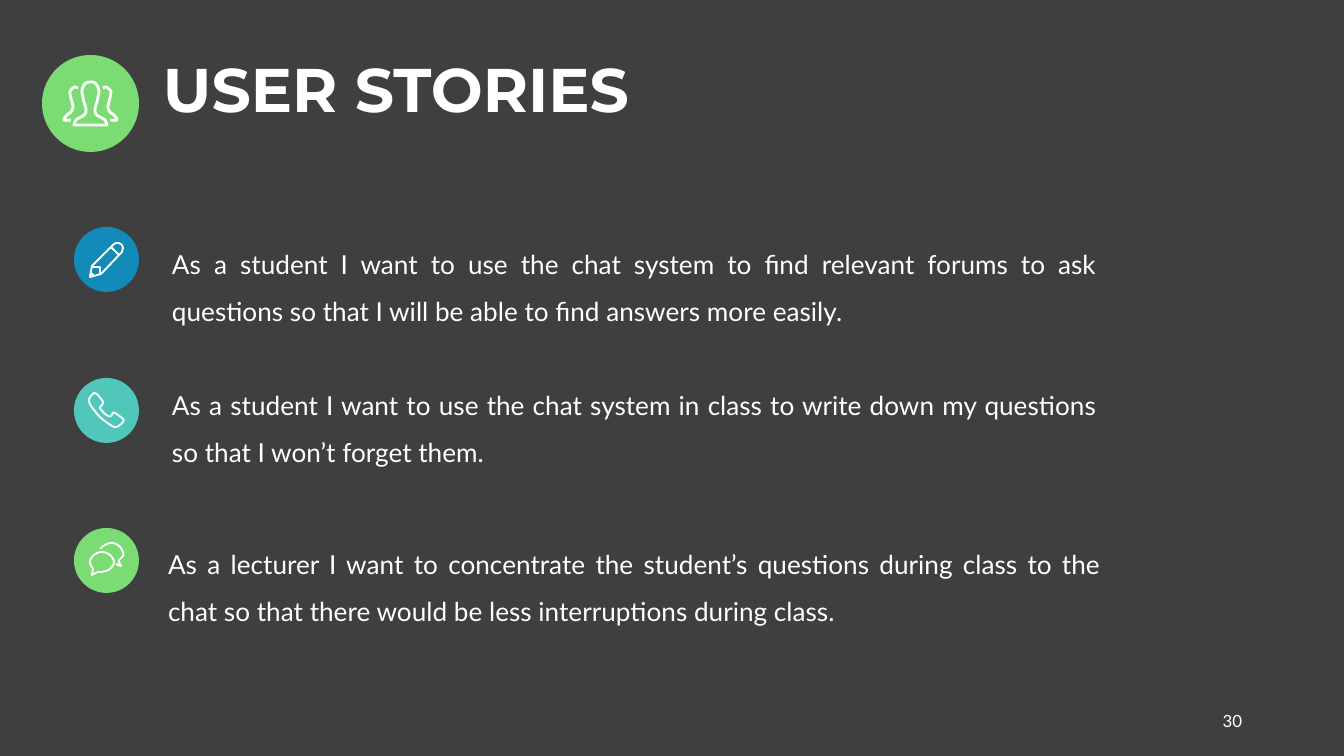
"""Build the user stories slide with its icon badges and three stories."""
from dataclasses import dataclass

from pptx import Presentation
from pptx.dml.color import RGBColor
from pptx.enum.shapes import MSO_SHAPE
from pptx.enum.text import MSO_ANCHOR, PP_ALIGN
from pptx.util import Pt

OVAL = MSO_SHAPE.OVAL
TOP, MIDDLE = MSO_ANCHOR.TOP, MSO_ANCHOR.MIDDLE
LEFT, RIGHT, JUSTIFY = PP_ALIGN.LEFT, PP_ALIGN.RIGHT, PP_ALIGN.JUSTIFY
EMU_PER_PX = 914400 / 134.4
CURVE_STEPS = 6

Point = tuple[float, float]
Box = tuple[int, int, int, int]


@dataclass(frozen=True)
class Theme:
    background: str = "3F3F3F"
    white: str = "FFFFFF"
    green: str = "7ADC72"
    blue: str = "138BB9"
    teal: str = "51C7BB"
    title_font: str = "Montserrat"
    body_font: str = "Lato"
    title_size: int = 33
    body_size: int = 14
    page_size: int = 9


@dataclass(frozen=True)
class Stroke:
    points: tuple[Point, ...]
    closed: bool = False
    smooth: bool = True


@dataclass(frozen=True)
class Badge:
    left: int
    top: int
    diameter: int
    color: str
    icon: tuple[Stroke, ...]
    line_width: float = 1


@dataclass(frozen=True)
class Story:
    badge: Badge
    box: Box
    text: str


THEME = Theme()

SIDE_PERSON = ((78, 88), (75, 87), (72, 89), (70, 92), (71, 98), (72, 102),
               (73, 107), (71, 112), (67, 115), (64, 120), (71, 120))
FRONT_PERSON = ((74, 125), (76, 120), (81, 117), (85, 114), (86, 109), (84, 102),
                (83, 97), (82, 92), (83, 87), (86, 83), (91, 82), (95, 83),
                (98, 87), (99, 92), (98, 97), (97, 102), (95, 109), (96, 114),
                (100, 117), (105, 120), (107, 125))
PEOPLE = (
    Stroke(SIDE_PERSON),
    Stroke(tuple((181 - x, y) for x, y in SIDE_PERSON)),
    Stroke(FRONT_PERSON, closed=True),
)
PENCIL = (
    Stroke(((90, 277), (92, 266), (113, 245), (116, 243), (119, 243), (122, 245),
            (123, 248), (122, 252), (101, 274)), closed=True, smooth=False),
    Stroke(((92, 267), (100, 267), (100, 274)), smooth=False),
    Stroke(((111, 247), (119, 255)), smooth=False),
    Stroke(((91, 273), (94, 276)), smooth=False),
)
PHONE = (
    Stroke(((97, 394), (103, 402), (101, 406), (100, 408), (104, 413), (108, 416),
            (111, 416), (113, 413), (115, 413), (123, 419), (123, 422), (120, 425),
            (116, 427), (112, 426), (101, 418), (94, 410), (90, 404), (89, 400),
            (91, 396), (94, 393)), closed=True),
)
CHAT = (
    Stroke(((100, 549), (105, 545), (112, 543), (119, 546), (123, 552), (123, 556),
            (119, 561), (121, 566), (116, 564))),
    Stroke(((92, 575), (98, 572), (102, 572), (110, 569), (114, 562), (110, 555),
            (102, 552), (94, 555), (90, 562), (93, 569)), closed=True),
)

TITLE_BADGE = Badge(42, 55, 97, THEME.green, PEOPLE, 1.5)
STORIES = (
    Story(Badge(74, 227, 65, THEME.blue, PENCIL), (163, 228, 943, 65),
          "As a student I want to use the chat system to find relevant forums to ask "
          "questions so that I will be able to find answers more easily."),
    Story(Badge(74, 378, 65, THEME.teal, PHONE), (163, 369, 943, 59),
          "As a student I want to use the chat system in class to write down my "
          "questions so that I won’t forget them."),
    Story(Badge(74, 528, 65, THEME.green, CHAT), (159, 528, 951, 59),
          "As a lecturer I want to concentrate the student’s questions during class "
          "to the chat so that there would be less interruptions during class."),
)


def px(value: float) -> int:
    """Turn pixels into EMU."""
    return round(value * EMU_PER_PX)


def smooth_points(points: tuple[Point, ...]) -> list[Point]:
    """Return points along a Catmull-Rom curve through the given ones."""
    padded = (points[0], *points, points[-1])
    curve = [points[0]]
    for a, b, c, d in zip(padded, padded[1:], padded[2:], padded[3:]):
        for step in range(1, CURVE_STEPS + 1):
            t = step / CURVE_STEPS
            curve.append(tuple(
                q + t * (r - p) / 2 + t**2 * (2 * p - 5 * q + 4 * r - s) / 2
                + t**3 * (3 * q - p - 3 * r + s) / 2
                for p, q, r, s in zip(a, b, c, d)))
    return curve


def draw_stroke(slide, stroke: Stroke, width: float) -> None:
    """Draw one white icon line."""
    points = smooth_points(stroke.points) if stroke.smooth else stroke.points
    start, *rest = [(px(x), px(y)) for x, y in points]
    builder = slide.shapes.build_freeform(*start, scale=1.0)
    builder.add_line_segments(rest, close=stroke.closed)
    shape = builder.convert_to_shape()
    shape.shadow.inherit = False
    shape.fill.background()
    shape.line.color.rgb = RGBColor.from_string(THEME.white)
    shape.line.width = Pt(width)


def draw_badge(slide, badge: Badge) -> None:
    """Draw a coloured circle with its icon."""
    shape = slide.shapes.add_shape(OVAL, px(badge.left), px(badge.top),
                                   px(badge.diameter), px(badge.diameter))
    shape.shadow.inherit = False
    shape.fill.solid()
    shape.fill.fore_color.rgb = RGBColor.from_string(badge.color)
    shape.line.fill.background()
    for stroke in badge.icon:
        draw_stroke(slide, stroke, badge.line_width)


def write_text(slide, text: str, box: Box, *, font: str, size: int, bold: bool = False,
               align: PP_ALIGN = LEFT, anchor: MSO_ANCHOR = TOP,
               spacing: float = 1.0) -> None:
    """Write one paragraph of white text in a box."""
    frame = slide.shapes.add_textbox(*map(px, box)).text_frame
    frame.word_wrap = True
    frame.vertical_anchor = anchor
    frame.margin_left = frame.margin_right = px(9)
    frame.margin_top = frame.margin_bottom = px(5)
    paragraph = frame.paragraphs[0]
    paragraph.alignment = align
    paragraph.line_spacing = spacing
    run = paragraph.add_run()
    run.text = text
    run.font.name = font
    run.font.size = Pt(size)
    run.font.bold = bold
    run.font.color.rgb = RGBColor.from_string(THEME.white)


def main() -> None:
    """Build and save the presentation."""
    presentation = Presentation()
    presentation.slide_width, presentation.slide_height = px(1344), px(756)
    slide = presentation.slides.add_slide(presentation.slide_layouts[6])
    slide.background.fill.solid()
    slide.background.fill.fore_color.rgb = RGBColor.from_string(THEME.background)

    write_text(slide, "USER STORIES", (154, 41, 1109, 103), font=THEME.title_font,
               size=THEME.title_size, bold=True, anchor=MIDDLE, spacing=0.9)
    draw_badge(slide, TITLE_BADGE)
    for story in STORIES:
        draw_badge(slide, story.badge)
        write_text(slide, story.text, story.box, font=THEME.body_font,
                   size=THEME.body_size, align=JUSTIFY, spacing=1.5)
    write_text(slide, "30", (949, 701, 302, 40), font=THEME.body_font,
               size=THEME.page_size, align=RIGHT, anchor=MIDDLE)
    presentation.save("out.pptx")


if __name__ == "__main__":
    main()
